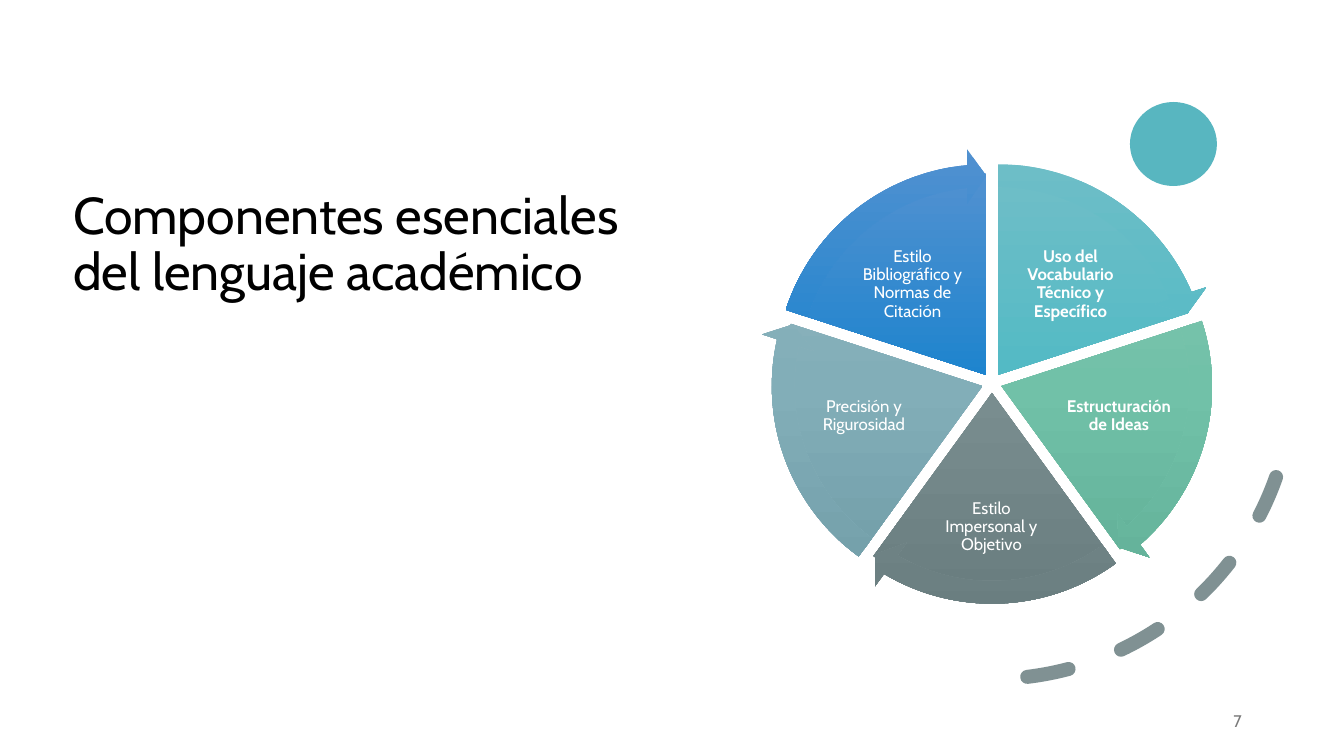
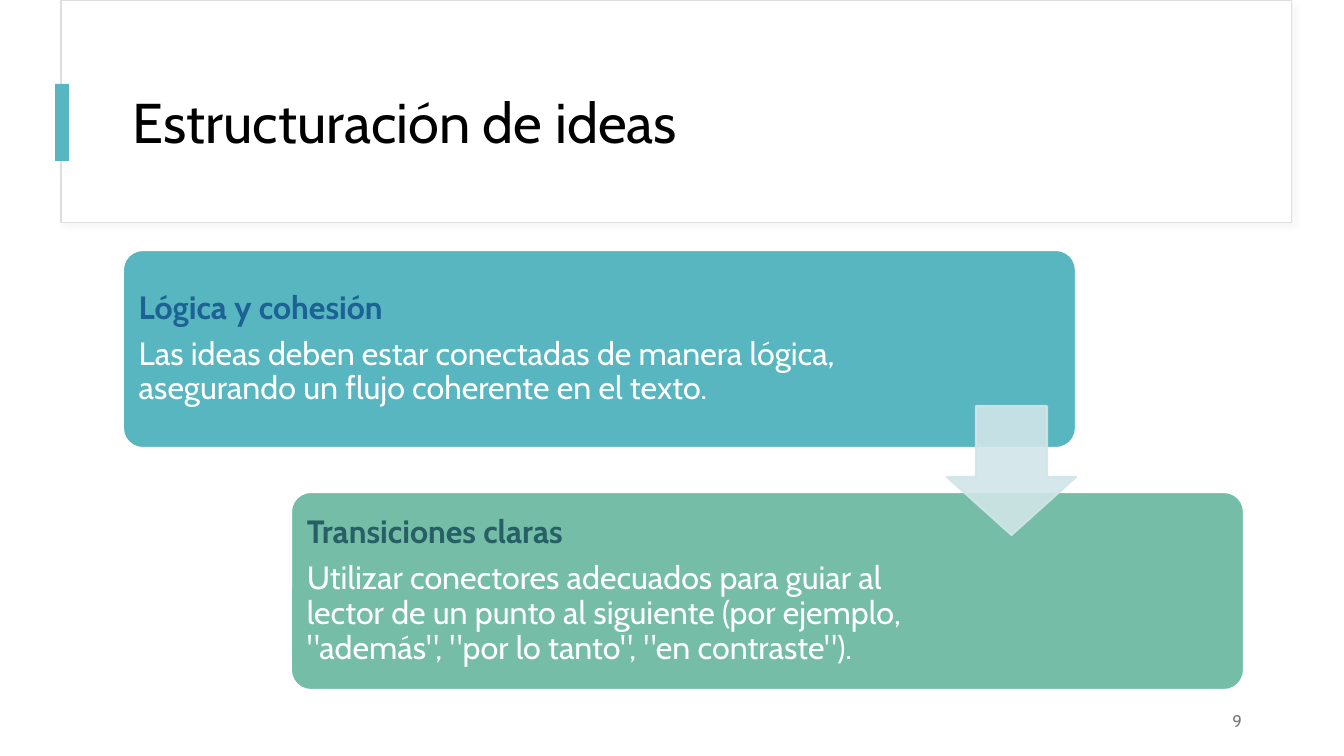
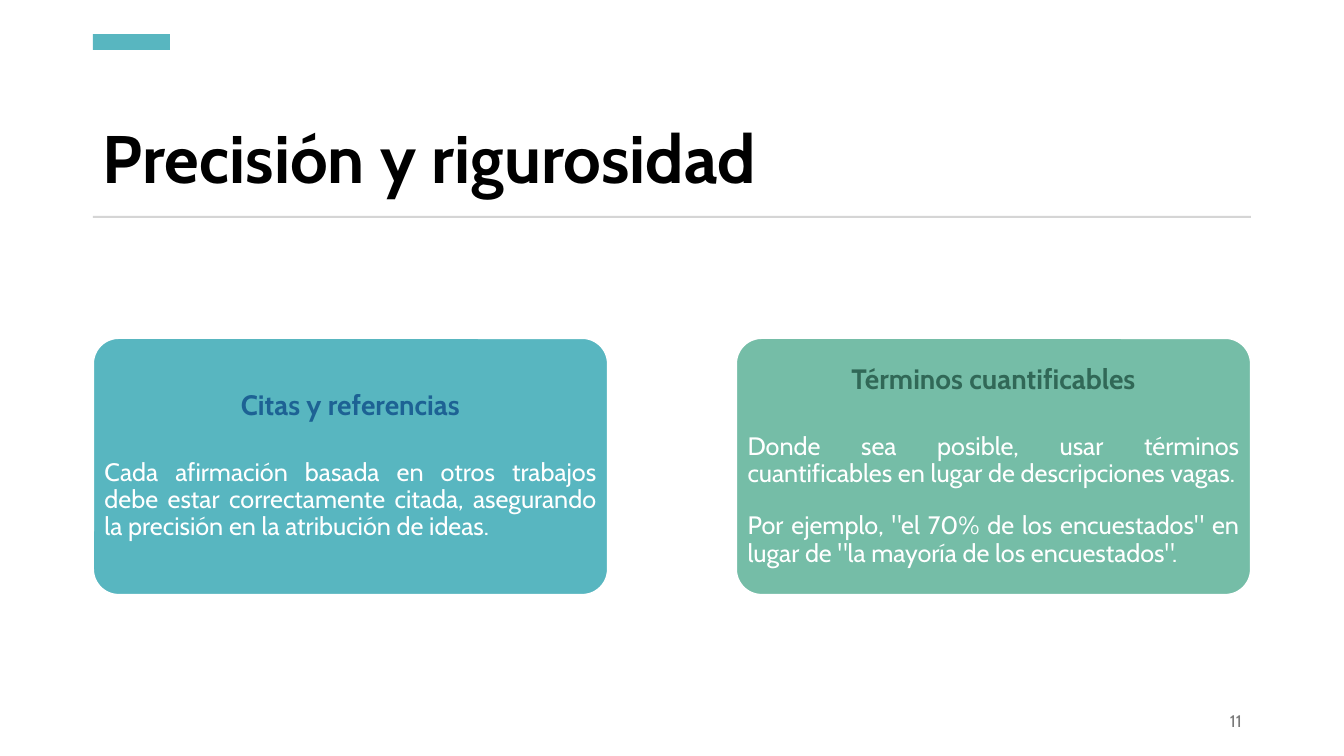
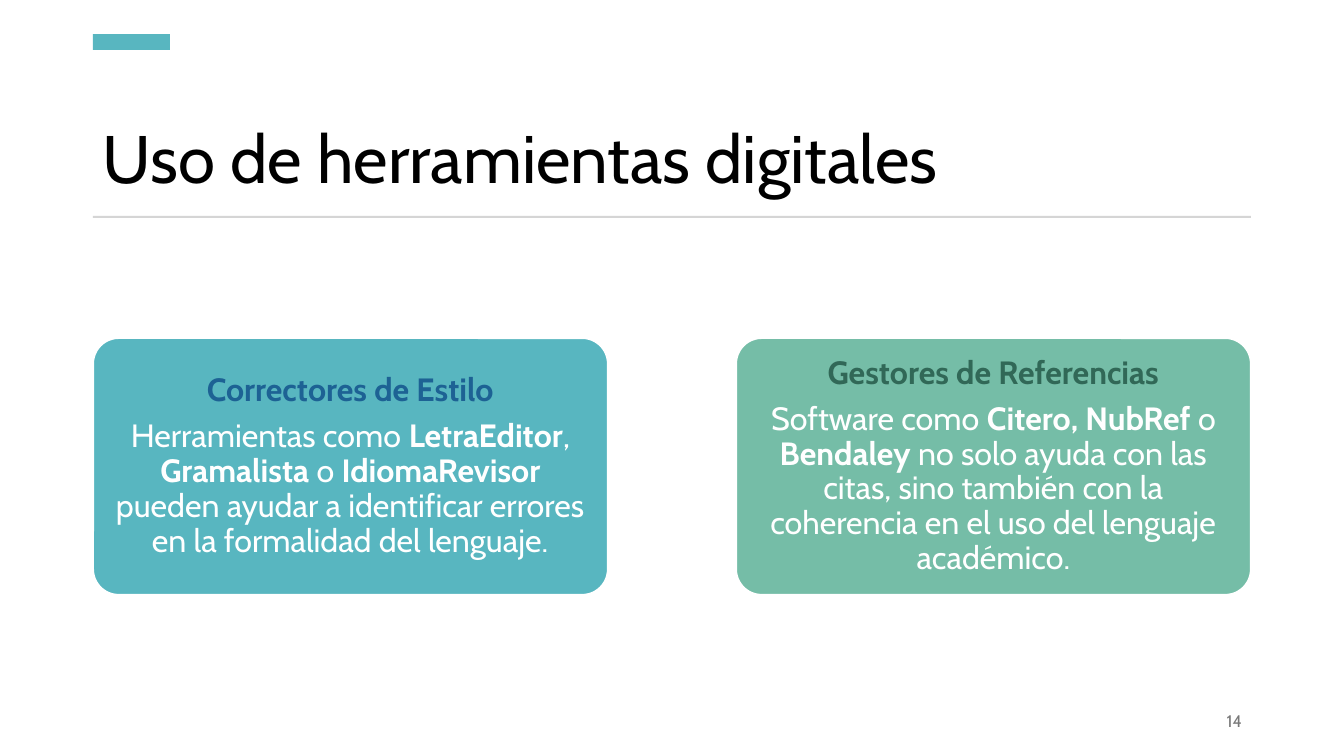
import copy
import math
from pptx import Presentation, util as u
from pptx.dml.color import RGBColor
from pptx.enum import dml, shapes, text
from pptx.oxml.ns import qn
from lxml import etree

SCALE = u.Inches(1) / 100.8
FONT = "Cabin"
KIND = shapes.MSO_SHAPE
ALIGN = text.PP_ALIGN
ANCHOR = text.MSO_ANCHOR

COLORS = {
    "white": "FFFFFF", "black": "000000", "number": "797979",
    "teal": "58B6C0", "green": "75BDA7", "gray": "7A8C8E",
    "rule": "D5D5D5", "frame": "DEDEDE", "shadow": "D9D9D9", "arrow": "D1E5E8",
    "blue_head": "1D6294", "teal_head": "266066", "green_head": "316857",
}

WHEEL_CENTER = (992, 383)
WHEEL = [
    ("Uso del Vocabulario Técnico y Específico", True, (1006, 241, 129, 87), ("6FBEC7", "53BAC5", "44AAB5")),
    ("Estructuración de Ideas", True, (1059, 368, 120, 96), ("86C5B1", "71C1A8", "61AF97")),
    ("Estilo Impersonal y Objetivo", False, (934, 474, 115, 106), ("89999A", "798D8F", "6A7E80")),
    ("Precisión y Rigurosidad", False, (804, 368, 120, 96), ("92B5BE", "82AEB8", "709CA7")),
    ("Estilo Bibliográfico y Normas de Citación", False, (848, 241, 129, 87), ("5191D0", "1E84CE", "1477BE")),
]

STEPS = [
    ("Lógica y cohesión", "blue_head", "teal", 203,
     "Las ideas deben estar conectadas de manera lógica, asegurando un flujo coherente en el texto."),
    ("Transiciones claras", "teal_head", "green", 306,
     "Utilizar conectores adecuados para guiar al lector de un punto al siguiente "
     "(por ejemplo, \"además\", \"por lo tanto\", \"en contraste\")."),
]

CARD_SLIDES = [
    {"title": "Precisión y rigurosidad", "bold": True, "number": 11, "inset": 4,
     "sizes": (20, 18), "gaps": (27, 18), "align": ALIGN.JUSTIFY,
     "cards": [
         ("Citas y referencias",
          ["Cada afirmación basada en otros trabajos debe estar correctamente citada, "
           "asegurando la precisión en la atribución de ideas."]),
         ("Términos cuantificables",
          ["Donde sea posible, usar términos cuantificables en lugar de descripciones vagas.",
           "Por ejemplo, \"el 70% de los encuestados\" en lugar de \"la mayoría de los encuestados\"."]),
     ]},
    {"title": "Uso de herramientas digitales", "bold": False, "number": 14, "inset": 5,
     "sizes": (23, 23), "gaps": (8, 8), "align": ALIGN.CENTER,
     "cards": [
         ("Correctores de Estilo",
          ["Herramientas como *LetraEditor*, *Gramalista* o *IdiomaRevisor* pueden ayudar a "
           "identificar errores en la formalidad del lenguaje."]),
         ("Gestores de Referencias",
          ["Software como *Citero, NubRef* o *Bendaley* no solo ayuda con las citas, sino "
           "también con la coherencia en el uso del lenguaje académico."]),
     ]},
]


def px(value):
    return u.Emu(round(value * SCALE))


def color(name):
    return RGBColor.from_string(COLORS.get(name, name))


def place(shape, box):
    shape.left, shape.top, shape.width, shape.height = map(px, box)


def set_alpha(shape, percent):
    for element in shape._element.spPr.iter(qn("a:srgbClr")):
        etree.SubElement(element, qn("a:alpha")).set("val", str(percent * 1000))


def add_shape(slide, kind, box, fill=None, line=None, width=1.5, adjust=()):
    shape = slide.shapes.add_shape(kind, *map(px, box))
    shape.shadow.inherit = False
    for index, value in enumerate(adjust):
        shape.adjustments[index] = value
    if fill:
        shape.fill.solid()
        shape.fill.fore_color.rgb = color(fill)
    else:
        shape.fill.background()
    if line:
        shape.line.color.rgb = color(line)
        shape.line.width = u.Pt(width)
    else:
        shape.line.fill.background()
    return shape


def set_gradient(shape, stops):
    shape.fill.gradient()
    shape.fill.gradient_angle = 270
    stop_list = shape._element.spPr.find(".//" + qn("a:gsLst"))
    stop_list.insert(1, copy.deepcopy(stop_list[0]))
    for stop, position, name in zip(shape.fill.gradient_stops, (0, 0.5, 1), stops):
        stop.position = position
        stop.color.rgb = color(name)


def setup_frame(frame, anchor=ANCHOR.MIDDLE, margins=(10, 5, 10, 5)):
    frame.word_wrap = True
    frame.auto_size = text.MSO_AUTO_SIZE.NONE
    frame.vertical_anchor = anchor
    frame.margin_left, frame.margin_top, frame.margin_right, frame.margin_bottom = map(px, margins)


def write(paragraph, content, size, name, bold=False, align=ALIGN.LEFT, spacing=0.9, after=0):
    paragraph.alignment = align
    paragraph.line_spacing = spacing
    paragraph.space_after = u.Pt(after)
    font = paragraph.font
    font.name, font.size, font.bold = FONT, u.Pt(size), bold
    font.color.rgb = color(name)
    for index, part in enumerate(content.split("*")):
        run = paragraph.add_run()
        run.text = part
        if index % 2:
            run.font.bold = True


def add_label(slide, box, content, size, name, margins=(10, 5, 10, 5), **style):
    frame = slide.shapes.add_textbox(*map(px, box)).text_frame
    setup_frame(frame, margins=margins)
    write(frame.paragraphs[0], content, size, name, **style)


def add_title(slide, content, box, size, bold=False, anchor=ANCHOR.MIDDLE):
    title = slide.shapes.title
    title._element.getparent().append(title._element)
    place(title, box)
    setup_frame(title.text_frame, anchor)
    write(title.text_frame.paragraphs[0], content, size, "black", bold)


def add_number(slide, number):
    add_label(slide, (950, 701, 302, 40), str(number), 12, "number", align=ALIGN.RIGHT, spacing=1)


def add_card(slide, box, fill, margins, paragraphs):
    card = add_shape(slide, KIND.ROUNDED_RECTANGLE, box, fill, "white", adjust=[0.1])
    frame = card.text_frame
    setup_frame(frame, margins=margins)
    for index, style in enumerate(paragraphs):
        paragraph = frame.add_paragraph() if index else frame.paragraphs[0]
        write(paragraph, **style)


def build_wheel(slide):
    add_title(slide, "Componentes esenciales del lenguaje académico", (63, 173, 595, 146), 37)
    arc = add_shape(slide, KIND.ARC, (690, 76, 603, 603), None, "gray", 10, (162, 200.93))
    arc.rotation = 353.2
    arc.line.dash_style = dml.MSO_LINE.DASH
    arc._element.spPr.find(qn("a:xfrm")).set("flipV", "1")
    arc._element.spPr.find(qn("a:ln")).set("cap", "rnd")
    set_alpha(arc, 95)
    add_shape(slide, KIND.OVAL, (1130, 102, 87, 84), "teal")

    step, full_turn, offset = 43.2, 216, 10
    arrows = []
    for index, (label, bold, box, stops) in enumerate(WHEEL):
        start = (162 + index * step) % full_turn
        middle = math.radians(72 * index - 54)
        x = WHEEL_CENTER[0] + offset * math.cos(middle)
        y = WHEEL_CENTER[1] + offset * math.sin(middle)
        end = (start + step) % full_turn
        pie = add_shape(slide, KIND.PIE, (x - 201.5, y - 201.5, 403, 403), adjust=(start, end))
        set_gradient(pie, stops)
        add_label(slide, box, label, 12, "white", (2, 2, 2, 2), bold=bold, align=ALIGN.CENTER, after=4)
        tip = (start + 39.92) % full_turn
        arrows.append(((x - 226.5, y - 226.5, 453, 453), (0.05, 3.28, tip, start, 0.06), stops))
    for box, adjust, stops in arrows:
        set_gradient(add_shape(slide, KIND.CIRCULAR_ARROW, box, adjust=adjust), stops)
    add_number(slide, 7)


def build_steps(slide):
    frame = add_shape(slide, KIND.RECTANGLE, (61, 1, 1231, 222), "white", "frame", 0.75)
    effects = frame._element.spPr.find(qn("a:effectLst"))
    shadow = etree.SubElement(effects, qn("a:outerShdw"), blurRad=str(u.Pt(4)), dist=str(u.Pt(3)),
                              dir="2700000", algn="tl", rotWithShape="0")
    shade = etree.SubElement(shadow, qn("a:srgbClr"), val=COLORS["shadow"])
    etree.SubElement(shade, qn("a:alpha"), val="20000")
    add_title(slide, "Estructuración de ideas", (123, 60, 1121, 130), 40)
    add_shape(slide, KIND.RECTANGLE, (55, 84, 14, 77), "teal")
    for index, (head, head_color, fill, right, body) in enumerate(STEPS):
        box = (123 + 168 * index, 250 + 242 * index, 953, 198)
        add_card(slide, box, fill, (10, 10, right, 10), [
            dict(content=head, size=23, name=head_color, bold=True, after=8),
            dict(content=body, size=23, name="white", after=8),
        ])
    arrow = add_shape(slide, KIND.DOWN_ARROW, (947, 406, 129, 129), "arrow", "arrow", adjust=(0.55, 0.45))
    set_alpha(arrow, 90)
    add_number(slide, 9)


def build_cards(slide, data):
    add_title(slide, data["title"], (93, 75, 1158, 128), 48, data["bold"], ANCHOR.BOTTOM)
    add_shape(slide, KIND.RECTANGLE, (93, 34, 77, 16), "teal")
    add_shape(slide, KIND.RECTANGLE, (93, 216, 1158, 2), "rule")
    palette = [("teal", "blue_head"), ("green", "green_head")]
    head_size, body_size = data["sizes"]
    head_gap, body_gap = data["gaps"]
    inset = data["inset"]
    for index, ((head, bodies), (fill, head_color)) in enumerate(zip(data["cards"], palette)):
        paragraphs = [dict(content=head, size=head_size, name=head_color, bold=True,
                           align=ALIGN.CENTER, after=head_gap)]
        for position, body in enumerate(bodies, 1):
            after = 0.35 * body_size if position == len(bodies) else body_gap
            paragraphs.append(dict(content=body, size=body_size, name="white",
                                   align=data["align"], after=after))
        add_card(slide, (93 + 643 * index, 338, 515, 257), fill, (inset, 3, inset, 3), paragraphs)
    add_number(slide, data["number"])


def main():
    presentation = Presentation()
    presentation.slide_width, presentation.slide_height = px(1344), px(756)
    layout = presentation.slide_layouts[5]
    build_wheel(presentation.slides.add_slide(layout))
    build_steps(presentation.slides.add_slide(layout))
    for data in CARD_SLIDES:
        build_cards(presentation.slides.add_slide(layout), data)
    presentation.save("out.pptx")


if __name__ == "__main__":
    main()
